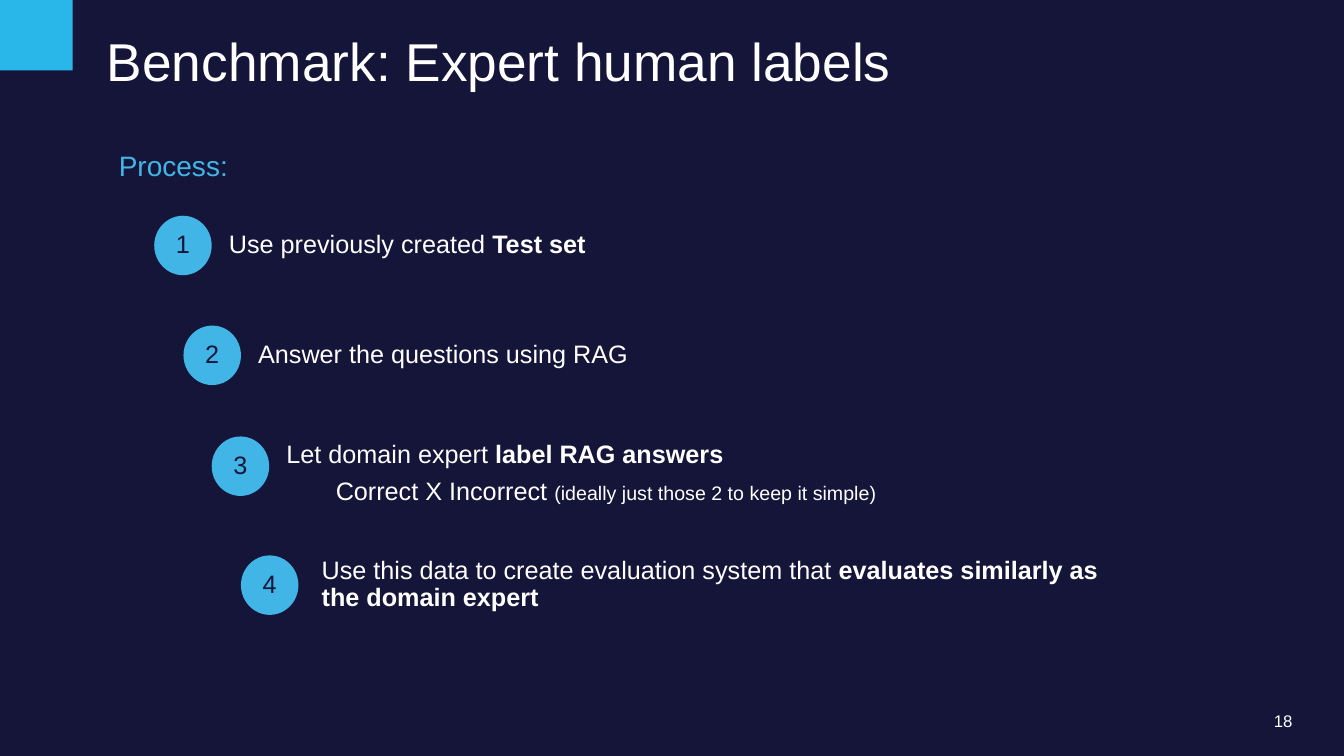
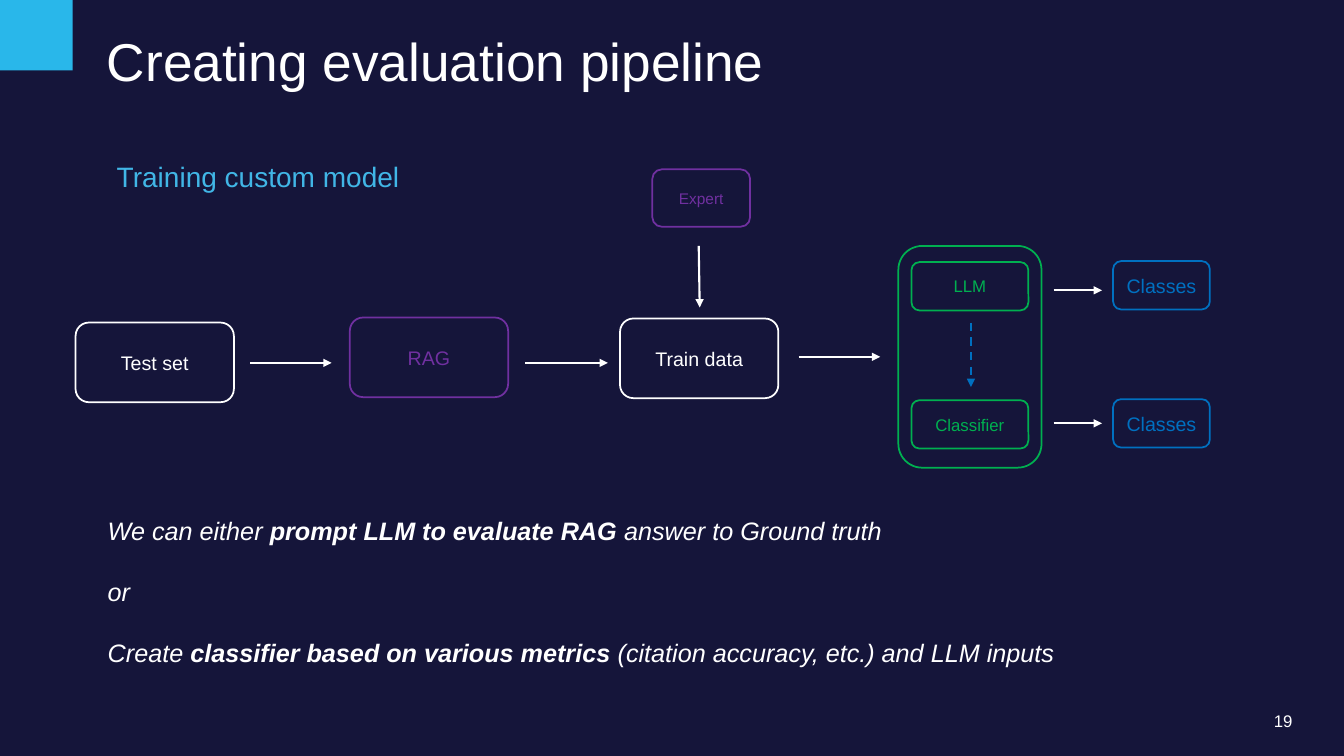
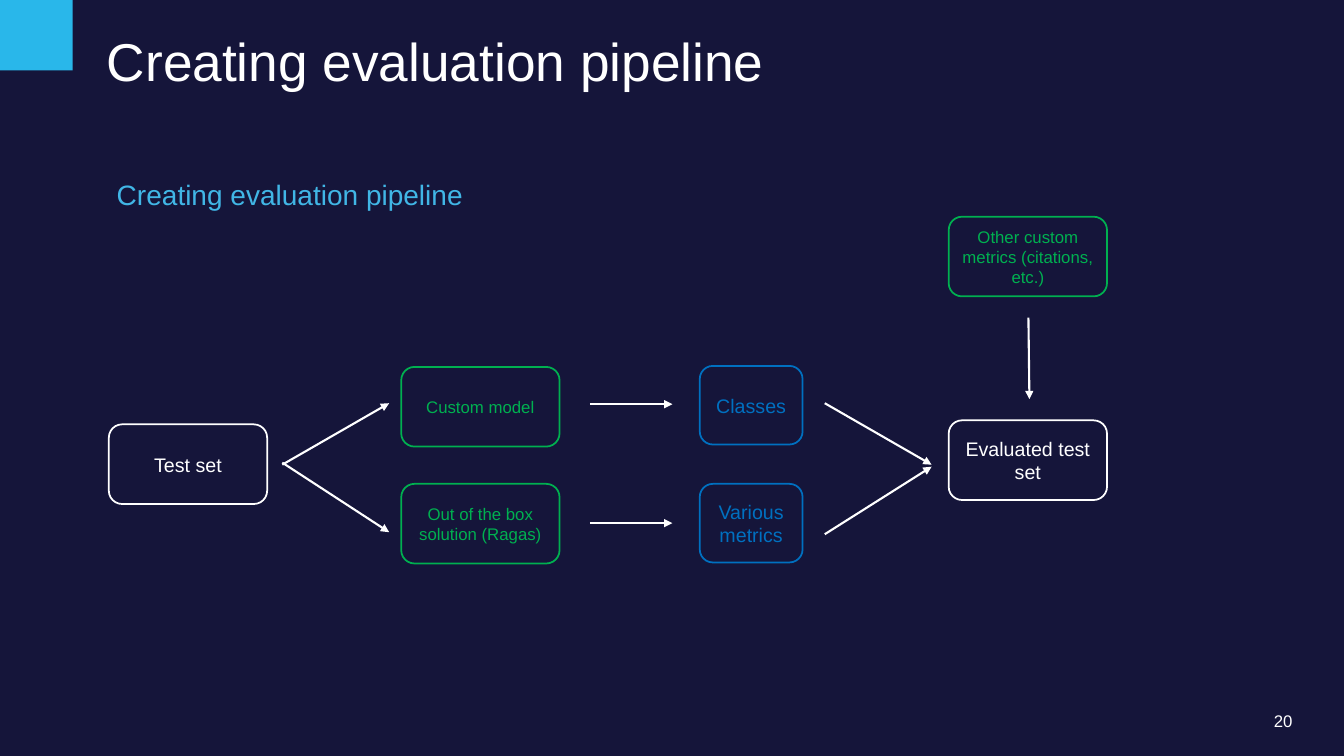
from dataclasses import dataclass

from lxml import etree
from pptx import Presentation
from pptx.dml.color import RGBColor
from pptx.enum import dml, shapes, text
from pptx.oxml import ns
from pptx.util import Pt

PX = 9144


@dataclass(frozen=True)
class Theme:
    font: str = "Arial"
    navy: str = "15153A"
    white: str = "FFFFFF"
    sky: str = "41B6E6"
    badge: str = "29B7EA"
    purple: str = "7030A0"
    green: str = "00B050"
    blue: str = "0070C0"
    title: int = 38
    heading: int = 20
    body: int = 18
    node: int = 14
    model: int = 12
    number: int = 12
    expert: int = 11
    outline: float = 1.25
    arrow: float = 1.5


THEME = Theme()
MIDDLE, TOP = text.MSO_ANCHOR.MIDDLE, text.MSO_ANCHOR.TOP
LEFT, CENTER, RIGHT = text.PP_ALIGN.LEFT, text.PP_ALIGN.CENTER, text.PP_ALIGN.RIGHT
BODY = {"size": Pt(THEME.body)}
BOLD = BODY | {"bold": True}
ASIDE = {"size": Pt(THEME.node)}
ITALIC = BODY | {"italic": True}
BOLD_ITALIC = BOLD | {"italic": True}

KINDS = {
    "data": (THEME.white, THEME.node, THEME.navy),
    "answer": (THEME.purple, THEME.node, THEME.navy),
    "expert": (THEME.purple, THEME.expert, THEME.navy),
    "model": (THEME.green, THEME.model, None),
    "result": (THEME.blue, THEME.node, None),
}

STAGE, MODEL, RESULT, METRIC = (157, 79), (116, 48), (96, 48), (102, 78)

STEPS = [
    {"top": 214, "rows": [[("Use previously created ", BODY), ("Test set", BOLD)]]},
    {"top": 323, "rows": [[("Answer the questions using RAG", BODY)]]},
    {"top": 433, "anchor": TOP, "rows": [
        [("Let domain expert ", BODY), ("label RAG answers", BOLD)],
        [("Correct X Incorrect ", BODY),
         ("(ideally just those 2 to keep it simple)", ASIDE)]]},
    {"top": 551, "gap": 6, "rows": [
        [("Use this data to create evaluation system that ", BODY),
         ("evaluates similarly as the domain expert", BOLD)]]},
]

OPTIONS = [
    [("We can either ", ITALIC), ("prompt LLM to evaluate RAG ", BOLD_ITALIC),
     ("answer to Ground truth", ITALIC)],
    [("or", ITALIC)],
    [("Create ", ITALIC), ("classifier based on various metrics", BOLD_ITALIC),
     (" (citation accuracy, etc.) and LLM inputs", ITALIC)],
]

SLIDES = [
    {"number": 18, "title": "Benchmark: Expert human labels",
     "heading": ("Process:", 108, 142), "steps": STEPS},
    {"number": 19, "title": "Creating evaluation pipeline",
     "heading": ("Training custom model", 106, 153),
     "nodes": [
         ("", "model", 891, 244, (142, 220)),
         ("Test set", "data", 75, 320, STAGE),
         ("RAG", "answer", 347, 315, STAGE),
         ("Expert", "expert", 647, 168, (97, 57)),
         ("Train data", "data", 615, 316, STAGE),
         ("LLM", "model", 904, 260, MODEL),
         ("Classifier", "model", 904, 397, MODEL),
         ("Classes", "result", 1104, 259, RESULT),
         ("Classes", "result", 1104, 396, RESULT),
     ],
     "arrows": [
         (248, 360, 329, 360), (521, 360, 603, 360), (693, 244, 694, 305),
         (792, 354, 873, 354), (1045, 288, 1093, 288), (1045, 420, 1093, 420),
     ],
     "dashed": [(963, 320, 963, 384)],
     "options": OPTIONS},
    {"number": 20, "title": "Creating evaluation pipeline",
     "heading": ("Creating evaluation pipeline", 106, 171),
     "nodes": [
         ("Test set", "data", 108, 421, STAGE),
         ("Custom model", "model", 398, 364, STAGE),
         ("Out of the box solution (Ragas)", "model", 398, 480, STAGE),
         ("Classes", "result", 694, 363, METRIC),
         ("Various metrics", "result", 694, 480, METRIC),
         ("Other custom metrics (citations, etc.)", "model", 941, 215, STAGE),
         ("Evaluated test set", "data", 941, 417, STAGE),
     ],
     "arrows": [
         (280, 461, 386, 400), (280, 459, 386, 528), (585, 401, 667, 401),
         (585, 519, 667, 519), (1020, 315, 1021, 396), (818, 400, 924, 461),
         (818, 530, 924, 463),
     ]},
]


def emu(*lengths):
    return [length * PX for length in lengths]


def apply(target, formats):
    for name, value in formats.items():
        setattr(target, name, value)


def write(frame, rows, color=THEME.white, align=LEFT, anchor=TOP,
          insets=(10, 5, 10, 5), spacing=1.0, after=0):
    sides = ("margin_left", "margin_top", "margin_right", "margin_bottom")
    apply(frame, dict(zip(sides, emu(*insets))) | {
        "word_wrap": True, "vertical_anchor": anchor,
        "auto_size": text.MSO_AUTO_SIZE.NONE})
    for index, row in enumerate(rows):
        paragraph = frame.add_paragraph() if index else frame.paragraphs[0]
        apply(paragraph, {"alignment": align, "line_spacing": spacing,
                          "space_before": Pt(0),
                          "space_after": Pt(after if index < len(rows) - 1 else 0)})
        for words, formats in row:
            run = paragraph.add_run()
            run.text = words
            apply(run.font, {"name": THEME.font} | formats)
            run.font.color.rgb = RGBColor.from_string(color)


def add_text(slide, box, rows, **layout):
    frame = slide.shapes.add_textbox(*emu(*box)).text_frame
    write(frame, rows, **layout)
    return frame


def add_shape(slide, preset, box, fill=None, outline=None):
    shape = slide.shapes.add_shape(preset, *emu(*box))
    shape.shadow.inherit = False
    if fill:
        shape.fill.solid()
        shape.fill.fore_color.rgb = RGBColor.from_string(fill)
    else:
        shape.fill.background()
    if outline:
        shape.line.width = Pt(THEME.outline)
        shape.line.color.rgb = RGBColor.from_string(outline)
    else:
        shape.line.fill.background()
    return shape


def add_node(slide, label, kind, left, top, size):
    color, points, fill = KINDS[kind]
    node = add_shape(slide, shapes.MSO_SHAPE.ROUNDED_RECTANGLE,
                     (left, top, *size), fill, color)
    if label:
        write(node.text_frame, [[(label, {"size": Pt(points)})]], color, CENTER, MIDDLE)


def add_arrow(slide, ends, color=THEME.white, dash=None):
    arrow = slide.shapes.add_connector(shapes.MSO_CONNECTOR.STRAIGHT, *emu(*ends))
    arrow.line.color.rgb = RGBColor.from_string(color)
    apply(arrow.line, {"width": Pt(THEME.arrow), "dash_style": dash})
    properties = arrow._element.spPr
    etree.SubElement(properties.find(ns.qn("a:ln")), ns.qn("a:tailEnd"), type="triangle")
    etree.SubElement(properties, ns.qn("a:effectLst"))


def add_steps(slide, steps):
    width, height, shift = 57, 59, 28.67
    for index, step in enumerate(steps):
        left, top = round(153 + index * shift), step["top"]
        anchor = step.get("anchor", MIDDLE)
        circle = add_shape(slide, shapes.MSO_SHAPE.OVAL, (left, top, width, height), THEME.sky)
        write(circle.text_frame, [[(str(index + 1), BODY)]], THEME.navy, CENTER, MIDDLE,
              (10, 10, 10, 10), 0.9)
        frame = add_text(slide, (left + width + step.get("gap", 0), top, 815, height),
                         step["rows"], anchor=anchor, insets=(17, 5, 5, 5),
                         spacing=0.9, after=7)
        for detail in frame.paragraphs[1:]:
            detail._p.get_or_add_pPr().set("marL", str(49 * PX))


def add_slide(deck, content):
    slide = deck.slides.add_slide(deck.slide_layouts[5])
    add_shape(slide, shapes.MSO_SHAPE.RECTANGLE, (0, 0, 72, 70), THEME.badge)
    title = slide.shapes.title
    apply(title, dict(zip(("left", "top", "width", "height"), emu(106, 35, 1176, 58))))
    write(title.text_frame, [[(content["title"], {"size": Pt(THEME.title)})]],
          insets=(0, 0, 0, 0), spacing=0.9)
    add_text(slide, (982, 705, 300, 20),
             [[(str(content["number"]), {"size": Pt(THEME.number)})]],
             align=RIGHT, anchor=MIDDLE, insets=(0, 0, 0, 0))
    heading, left, top = content["heading"]
    add_text(slide, (left, top, 420, 44), [[(heading, {"size": Pt(THEME.heading)})]],
             color=THEME.sky)
    add_steps(slide, content.get("steps", []))
    for node in content.get("nodes", []):
        add_node(slide, *node)
    for ends in content.get("arrows", []):
        add_arrow(slide, ends)
    for ends in content.get("dashed", []):
        add_arrow(slide, ends, THEME.blue, dml.MSO_LINE.DASH)
    if "options" in content:
        add_text(slide, (97, 506, 1141, 162), content["options"], after=22)


def main():
    deck = Presentation()
    apply(deck, dict(zip(("slide_width", "slide_height"), emu(1333, 750))))
    backdrop = deck.slide_master.background.fill
    backdrop.solid()
    backdrop.fore_color.rgb = RGBColor.from_string(THEME.navy)
    for content in SLIDES:
        add_slide(deck, content)
    deck.save("out.pptx")


if __name__ == "__main__":
    main()
